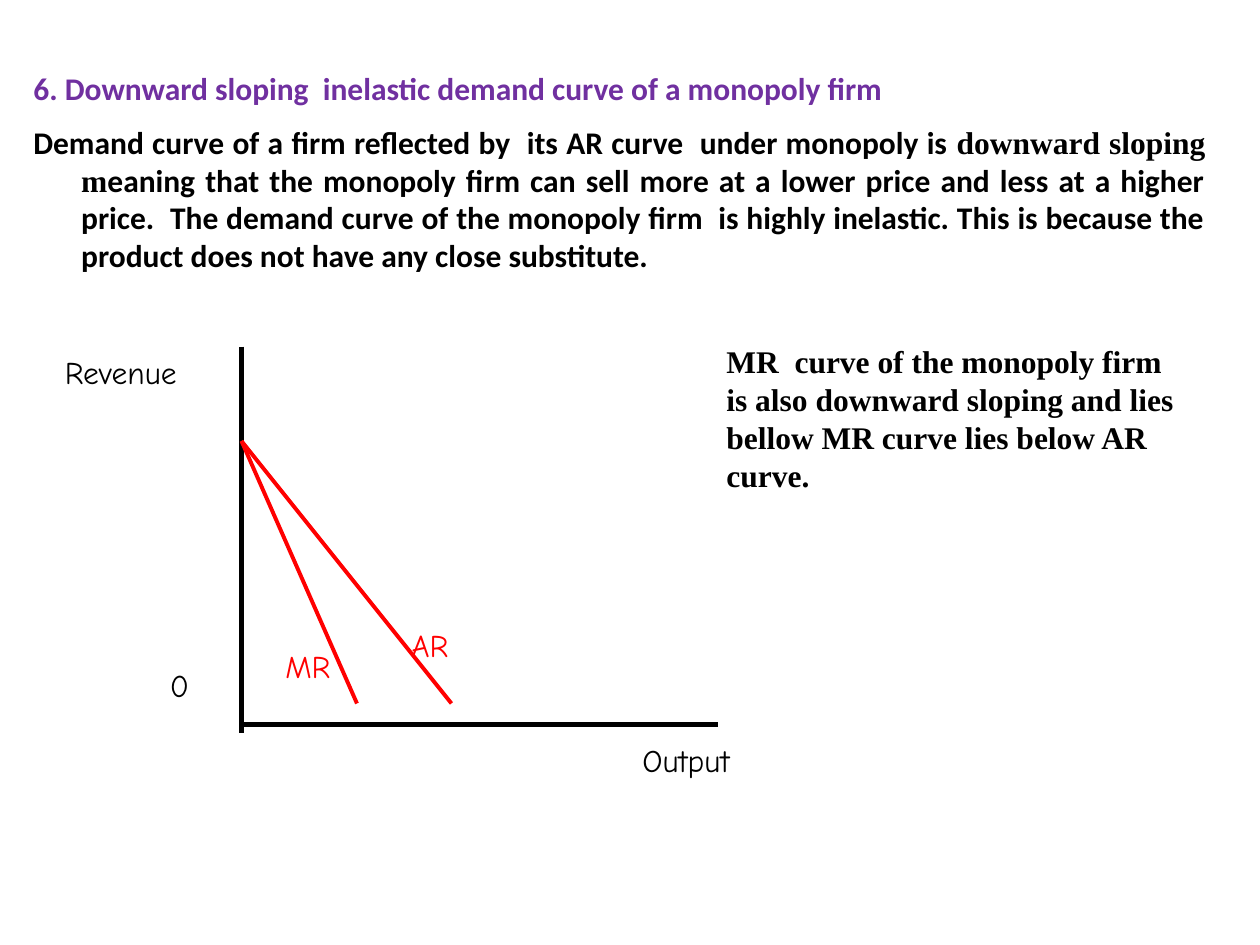
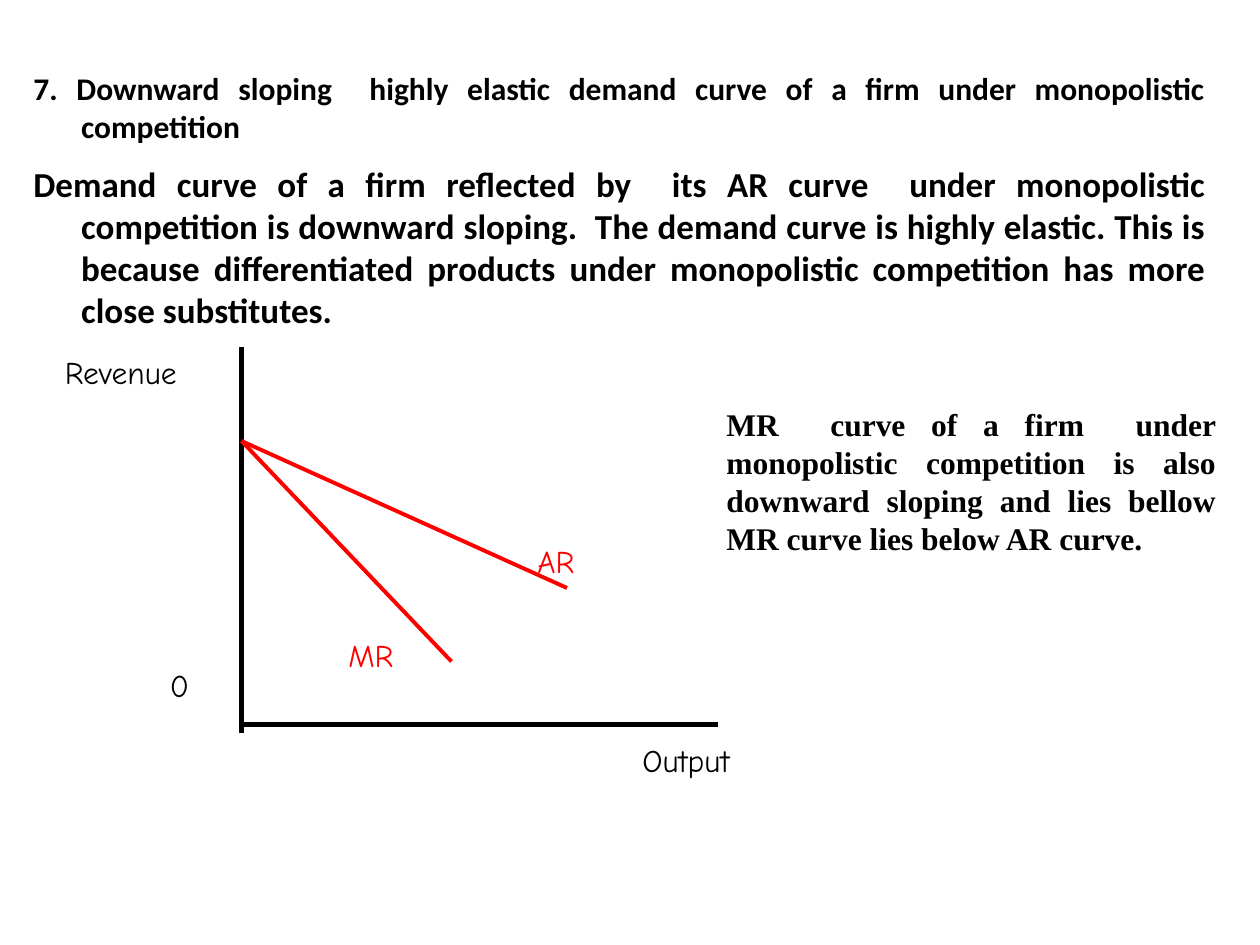
from lxml.etree import SubElement
from pptx import Presentation
from pptx.dml.color import RGBColor
from pptx.enum.shapes import MSO_CONNECTOR
from pptx.enum.text import MSO_AUTO_SIZE, PP_ALIGN
from pptx.oxml.ns import qn
from pptx.util import Inches, Pt

STRAIGHT = MSO_CONNECTOR.STRAIGHT
GROW = MSO_AUTO_SIZE.SHAPE_TO_FIT_TEXT
LEFT, JUST = PP_ALIGN.LEFT, PP_ALIGN.JUSTIFY

WIDE, HIGH = Inches(10), Inches(7.5)
COLS, ROWS = 120, 90
BLACK, RED, VIOLET = "000000", "FF0000", "7030A0"
SANS, SERIF, HAND = "Calibri", "Times New Roman", "Comic Neue"
HANG = 0.38

AXIS, BASE, TOP = 23, 69, 42
AXES = [((AXIS, 33), (AXIS, 69.8)), ((AXIS, BASE), (68.4, BASE))]
LABELS = [("Output", (60, 70)), ("Revenue", (5, 33)), ("0", (15, 62.8))]

CASES = [
    {
        "title": "6. Downward sloping  inelastic demand curve of a monopoly firm",
        "tint": VIOLET,
        "body": [
            ("Demand curve of a firm reflected by  its AR curve  under monopoly is ", SANS),
            ("downward sloping m", SERIF),
            ("eaning that the monopoly firm can sell more at a lower price and less "
             "at a higher price.  The demand curve of the monopoly firm  is highly "
             "inelastic. This is because the product does not have any close "
             "substitute.", SANS),
        ],
        "size": 18,
        "deep": 21.2,
        "curves": [("AR", (43, 67), (38, 59)), ("MR", (34, 67), (26, 61))],
        "note": "MR  curve of the monopoly firm is also downward sloping and lies "
                "bellow MR curve lies below AR curve.",
        "spot": (68, 32, 46, 15.7),
        "align": LEFT,
    },
    {
        "title": "7. Downward sloping  highly elastic demand curve of a firm under "
                 "monopolistic competition",
        "tint": BLACK,
        "body": [
            ("Demand curve of a firm reflected by  its AR curve  under monopolistic "
             "competition is downward sloping.  The demand curve is highly elastic. "
             "This is because differentiated products under monopolistic competition "
             "has more close substitutes.", SANS),
        ],
        "size": 20,
        "deep": 26.6,
        "curves": [("AR", (54, 56), (50, 51)), ("MR", (43, 63), (32, 60))],
        "note": "MR  curve of a firm  under monopolistic competition is also downward "
                "sloping and lies bellow MR curve lies below AR curve.",
        "spot": (68, 38, 49, 15.7),
        "align": JUST,
    },
]


def paint(code):
    return RGBColor.from_string(code)


def across(col):
    return round(WIDE * col / COLS)


def down(row):
    return round(HIGH * row / ROWS)


def rule(slide, start, end, tint, width):
    line = slide.shapes.add_connector(
        STRAIGHT, across(start[0]), down(start[1]), across(end[0]), down(end[1]))
    line.line.color.rgb = paint(tint)
    line.line.width = Pt(width)
    SubElement(line._element.spPr, qn("a:effectLst"))


def frame(slide, col, row, wide, high):
    box = slide.shapes.add_textbox(across(col), down(row), across(wide), down(high))
    area = box.text_frame
    area.word_wrap = True
    area.auto_size = GROW
    return area


def write(para, text, font=SANS, size=18, tint=BLACK, bold=True, align=LEFT,
          hang=0, gap=0):
    para.alignment = align
    para.space_before = Pt(gap)
    if hang:
        props = para._p.get_or_add_pPr()
        props.set("marL", str(Inches(hang)))
        props.set("indent", str(-Inches(hang)))
    run = para.add_run()
    run.text = text
    run.font.name = font
    run.font.size = Pt(size)
    run.font.bold = bold
    run.font.color.rgb = paint(tint)


def label(slide, text, spot, wide=24, tint=BLACK):
    area = frame(slide, *spot, wide, 5)
    write(area.paragraphs[0], text, font=HAND, tint=tint, bold=False)


def graph(slide, curves):
    for start, end in AXES:
        rule(slide, start, end, BLACK, 3)
    for name, end, spot in curves:
        rule(slide, (AXIS, TOP), end, RED, 2.25)
    for text, spot in LABELS:
        label(slide, text, spot, wide=5 if text == "0" else 24)
    for name, end, spot in curves:
        label(slide, name, spot, tint=RED)


def lesson(slide, case):
    area = frame(slide, 2, 6, 114, case["deep"])
    write(area.paragraphs[0], case["title"], tint=case["tint"], align=JUST, hang=HANG)
    para = area.add_paragraph()
    size = case["size"]
    for text, font in case["body"]:
        write(para, text, font=font, size=size, align=JUST, hang=HANG, gap=size / 2)


def main():
    deck = Presentation()
    deck.slide_width, deck.slide_height = WIDE, HIGH
    for case in CASES:
        slide = deck.slides.add_slide(deck.slide_layouts[6])
        graph(slide, case["curves"])
        lesson(slide, case)
        note = frame(slide, *case["spot"])
        write(note.paragraphs[0], case["note"], font=SERIF, align=case["align"])
    deck.save("out.pptx")


if __name__ == "__main__":
    main()
